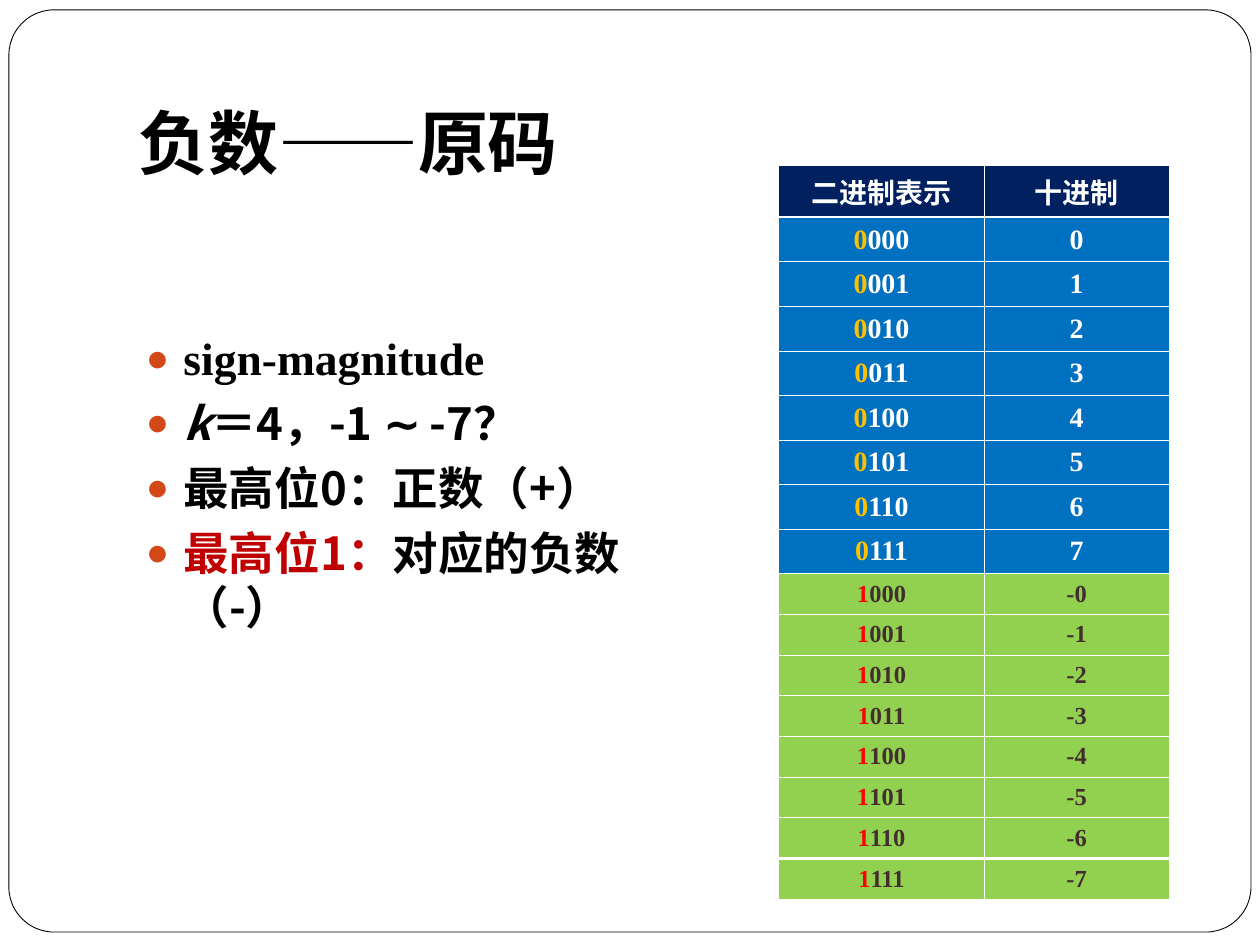
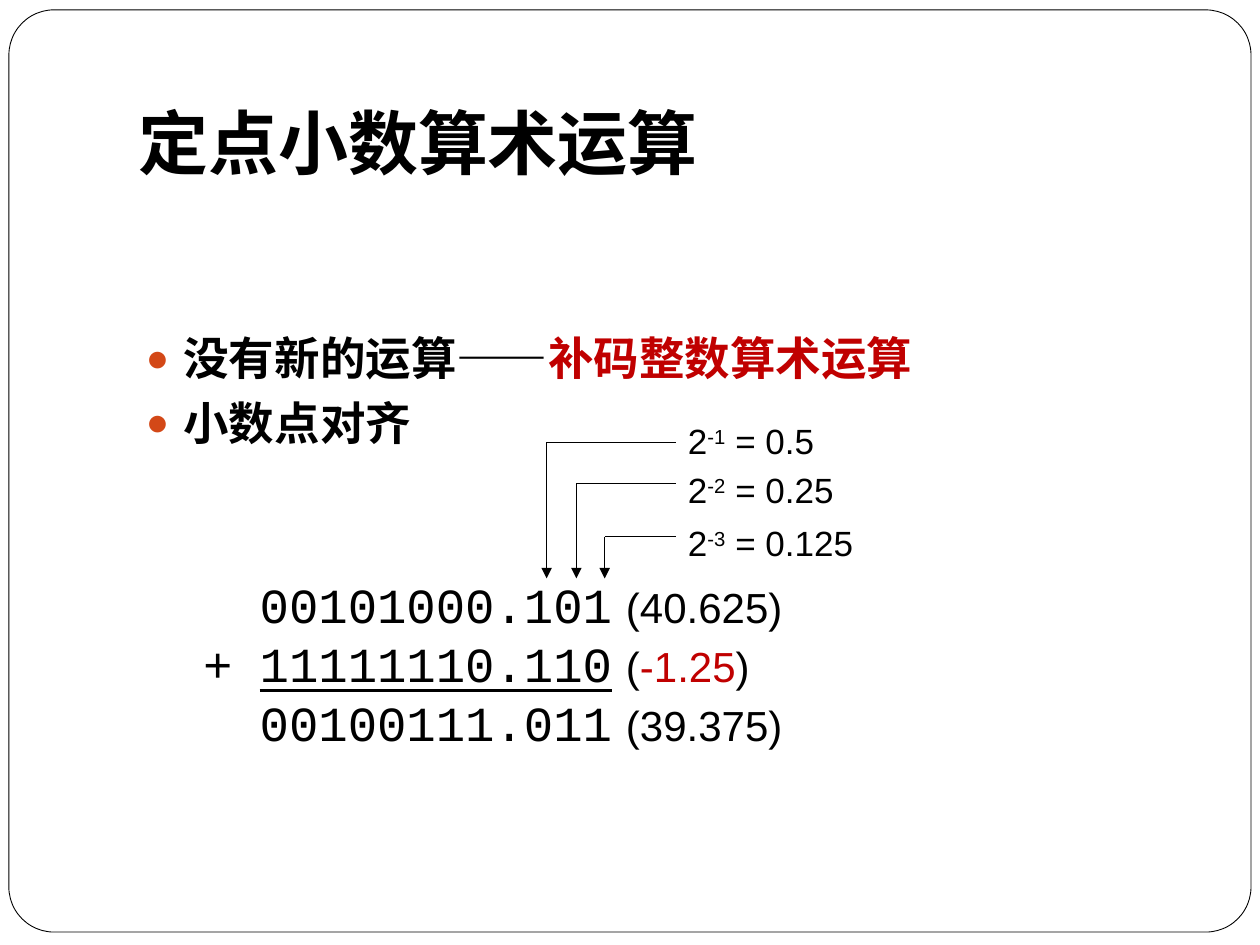
from dataclasses import dataclass

from lxml import etree
from pptx import Presentation
from pptx.dml.color import RGBColor
from pptx.enum.shapes import MSO_CONNECTOR, MSO_SHAPE
from pptx.enum.text import MSO_ANCHOR, PP_ALIGN
from pptx.oxml.ns import qn
from pptx.util import Cm, Pt

ROUNDED = MSO_SHAPE.ROUNDED_RECTANGLE
STRAIGHT = MSO_CONNECTOR.STRAIGHT
TOP, MIDDLE, BOTTOM = MSO_ANCHOR.TOP, MSO_ANCHOR.MIDDLE, MSO_ANCHOR.BOTTOM
CENTER = PP_ALIGN.CENTER


@dataclass(frozen=True)
class Theme:
    black: str = "000000"
    white: str = "FFFFFF"
    red: str = "C00000"
    bullet: str = "D34817"
    header_fill: str = "002060"
    positive_fill: str = "0070C0"
    positive_sign: str = "FFC000"
    negative_fill: str = "92D050"
    negative_sign: str = "FF0000"
    negative_text: str = "422E2E"
    cjk: str = "Noto Sans CJK SC"
    serif: str = "Times New Roman"
    sans: str = "Arial"
    mono: str = "Courier New"
    title_size: int = 40
    body_size: int = 26
    digit_size: int = 28
    value_size: int = 24
    weight_size: int = 20
    cell_size: int = 16
    small_cell_size: int = 14


THEME = Theme()


# Text
def add_span(para, text, size, font, color=THEME.black, bold=False,
             italic=False, underline=False, raised=False):
    span = para.add_run()
    span.text = text
    span.font.size = Pt(size)
    span.font.name = font
    span.font.bold = bold
    span.font.italic = italic
    span.font.underline = underline
    span.font.color.rgb = RGBColor.from_string(color)
    properties = span.font._element
    etree.SubElement(properties, qn("a:ea"), typeface=THEME.cjk)
    if raised:
        properties.set("baseline", "30000")


def add_box(page, left, top, width, height, anchor=TOP, wrap=True, bottom=0.13):
    box = page.shapes.add_textbox(Cm(left), Cm(top), Cm(width), Cm(height))
    frame = box.text_frame
    frame.word_wrap = wrap
    frame.vertical_anchor = anchor
    frame.margin_left = frame.margin_right = Cm(0.25)
    frame.margin_top, frame.margin_bottom = Cm(0.13), Cm(bottom)
    return frame


def add_paragraph(frame, number):
    return frame.paragraphs[0] if number == 0 else frame.add_paragraph()


def set_bullet(para):
    para.space_before = Pt(5.8)
    properties = para._p.get_or_add_pPr()
    properties.set("marL", str(Cm(0.76)))
    properties.set("indent", str(-Cm(0.76)))
    color = etree.SubElement(properties, qn("a:buClr"))
    etree.SubElement(color, qn("a:srgbClr"), val=THEME.bullet)
    etree.SubElement(properties, qn("a:buSzPct"), val="85000")
    etree.SubElement(properties, qn("a:buFont"), typeface=THEME.sans)
    etree.SubElement(properties, qn("a:buChar"), char="●")


def set_tabs(para, stops):
    tabs = etree.SubElement(para._p.get_or_add_pPr(), qn("a:tabLst"))
    for position, alignment in stops:
        etree.SubElement(tabs, qn("a:tab"), pos=str(Cm(position)), algn=alignment)


def add_bullets(page, width, height, items):
    """Each item is a list of (text, changes to the body style)."""
    frame = add_box(page, 2.69, 6.53, width, height)
    for number, spans in enumerate(items):
        para = add_paragraph(frame, number)
        set_bullet(para)
        for text, changes in spans:
            style = {"font": THEME.cjk, "bold": True, **changes}
            add_span(para, text, THEME.body_size, **style)


# Page with frame and title
def add_page(deck, title):
    page = deck.slides.add_slide(deck.slide_layouts[6])
    border = page.shapes.add_shape(ROUNDED, Cm(0.18), Cm(0.2), Cm(25.04), Cm(18.59))
    border.adjustments[0] = 0.049
    border.shadow.inherit = False
    border.fill.solid()
    border.fill.fore_color.rgb = RGBColor.from_string(THEME.white)
    border.line.color.rgb = RGBColor.from_string(THEME.black)
    border.line.width = Pt(0.5)
    frame = add_box(page, 2.54, 0.76, 21.59, 3.18, anchor=BOTTOM, bottom=0.25)
    add_span(frame.paragraphs[0], title, THEME.title_size, THEME.cjk, bold=True)
    return page


# Lines
def add_line(page, start, end, arrow=False):
    line = page.shapes.add_connector(STRAIGHT, *(Cm(v) for v in (*start, *end)))
    line.line.color.rgb = RGBColor.from_string(THEME.black)
    line.line.width = Pt(0.75)
    properties = line._element.spPr
    if arrow:
        etree.SubElement(properties.find(qn("a:ln")), qn("a:tailEnd"), type="triangle")
    etree.SubElement(properties, qn("a:effectLst"))


# Table
def set_borders(cell, thick_top, thick_bottom):
    properties = cell._tc.get_or_add_tcPr()
    widths = {"L": 0.45, "R": 0.45,
              "T": 1.47 if thick_top else 0.45,
              "B": 1.47 if thick_bottom else 0.45}
    for side, width in widths.items():
        line = etree.SubElement(properties, qn(f"a:ln{side}"), w=str(Pt(width)))
        fill = etree.SubElement(line, qn("a:solidFill"))
        etree.SubElement(fill, qn("a:srgbClr"), val=THEME.white)


def fill_cell(cell, spans, size, fill):
    cell.fill.solid()
    cell.fill.fore_color.rgb = RGBColor.from_string(fill)
    cell.vertical_anchor = MIDDLE
    cell.margin_left = cell.margin_right = Cm(0.2)
    cell.margin_top = cell.margin_bottom = Cm(0.11)
    para = cell.text_frame.paragraphs[0]
    para.alignment = CENTER
    for text, color in spans:
        add_span(para, text, size, THEME.serif, color, bold=True)


def number_row(code):
    """Spans of both cells, type size, fill and height for one 4-bit code."""
    bits, magnitude = f"{code:04b}", code % 8
    if code < 8:
        sign, color, prefix = THEME.positive_sign, THEME.white, ""
        size, fill, height = THEME.cell_size, THEME.positive_fill, 0.88
    else:
        sign, color, prefix = THEME.negative_sign, THEME.negative_text, "-"
        size, fill, height = THEME.small_cell_size, THEME.negative_fill, 0.82
    binary = [(bits[0], sign), (bits[1:], color)]
    return (binary, [(f"{prefix}{magnitude}", color)]), size, fill, height


def add_code_table(page):
    header = ([("二进制表示", THEME.white)], [("十进制", THEME.white)])
    rows = [(header, THEME.cell_size, THEME.header_fill, 1.05)]
    rows += [number_row(code) for code in range(16)]
    last = len(rows) - 1
    total_height = sum(height for *_, height in rows)
    table = page.shapes.add_table(len(rows), 2, Cm(15.7), Cm(3.33),
                                  Cm(7.87), Cm(total_height)).table
    table.columns[0].width, table.columns[1].width = Cm(4.14), Cm(3.73)
    for index, (cells, size, fill, height) in enumerate(rows):
        table.rows[index].height = Cm(height)
        for column, spans in enumerate(cells):
            cell = table.cell(index, column)
            set_borders(cell, index in (1, last), index in (0, last - 1))
            fill_cell(cell, spans, size, fill)


# Binary addition
def add_sum(page):
    lines = [("", "00101000.101", "40.625", THEME.black),
             ("+", "11111110.110", "-1.25", THEME.red),
             ("", "00100111.011", "39.375", THEME.black)]
    frame = add_box(page, 2.87, 11.46, 19.89, 3.81)
    for number, (operator, digits, value, color) in enumerate(lines):
        para = add_paragraph(frame, number)
        set_tabs(para, [(0, "l"), (1.57, "r"), (9.22, "r"), (9.5, "l")])
        add_span(para, f"\t{operator}", THEME.digit_size, THEME.mono)
        add_span(para, f"\t{digits}", THEME.digit_size, THEME.mono,
                 underline=operator == "+")
        add_span(para, "\t", THEME.digit_size, THEME.mono)
        for text, shade in (("(", THEME.black), (value, color), (")", THEME.black)):
            add_span(para, text, THEME.value_size, THEME.sans, shade)


def add_digit_weight(page, place, digit_x, line_y, label_y):
    label_x, arrow_y = 13.62, 11.66
    frame = add_box(page, label_x, label_y, 4.2, 1.12)
    para = frame.paragraphs[0]
    para.space_before = Pt(5)
    add_span(para, "2", THEME.weight_size, THEME.sans)
    add_span(para, f"-{place}", THEME.weight_size, THEME.sans, raised=True)
    add_span(para, f" = {2 ** -place}", THEME.weight_size, THEME.sans)
    add_line(page, (label_x, line_y), (digit_x, line_y))
    add_line(page, (digit_x, line_y), (digit_x, arrow_y), arrow=True)


# Slides
def build_sign_magnitude(deck):
    page = add_page(deck, "负数——原码")
    add_code_table(page)
    add_bullets(page, 12.19, 10.59, [
        [("sign-magnitude", {"font": THEME.serif})],
        [("k", {"italic": True}), ("＝4，-1 ", {}),
         ("∼", {"font": THEME.sans}), (" -7？", {})],
        [("最高位0：正数（+）", {})],
        [("最高位1：", {"color": THEME.red}), ("对应的负数（-）", {})],
    ])


def build_fixed_point(deck):
    page = add_page(deck, "定点小数算术运算")
    add_bullets(page, 19.99, 3.12, [
        [("没有新的运算——", {}), ("补码整数算术运算", {"color": THEME.red})],
        [("小数点对齐", {})],
    ])
    add_sum(page)
    weights = [(11.02, 8.92, 8.33), (11.62, 9.75, 9.32), (12.19, 10.82, 10.39)]
    for place, positions in enumerate(weights, start=1):
        add_digit_weight(page, place, *positions)


def main():
    deck = Presentation()
    deck.slide_width, deck.slide_height = Cm(25.4), Cm(19.05)
    build_sign_magnitude(deck)
    build_fixed_point(deck)
    deck.save("out.pptx")


if __name__ == "__main__":
    main()
